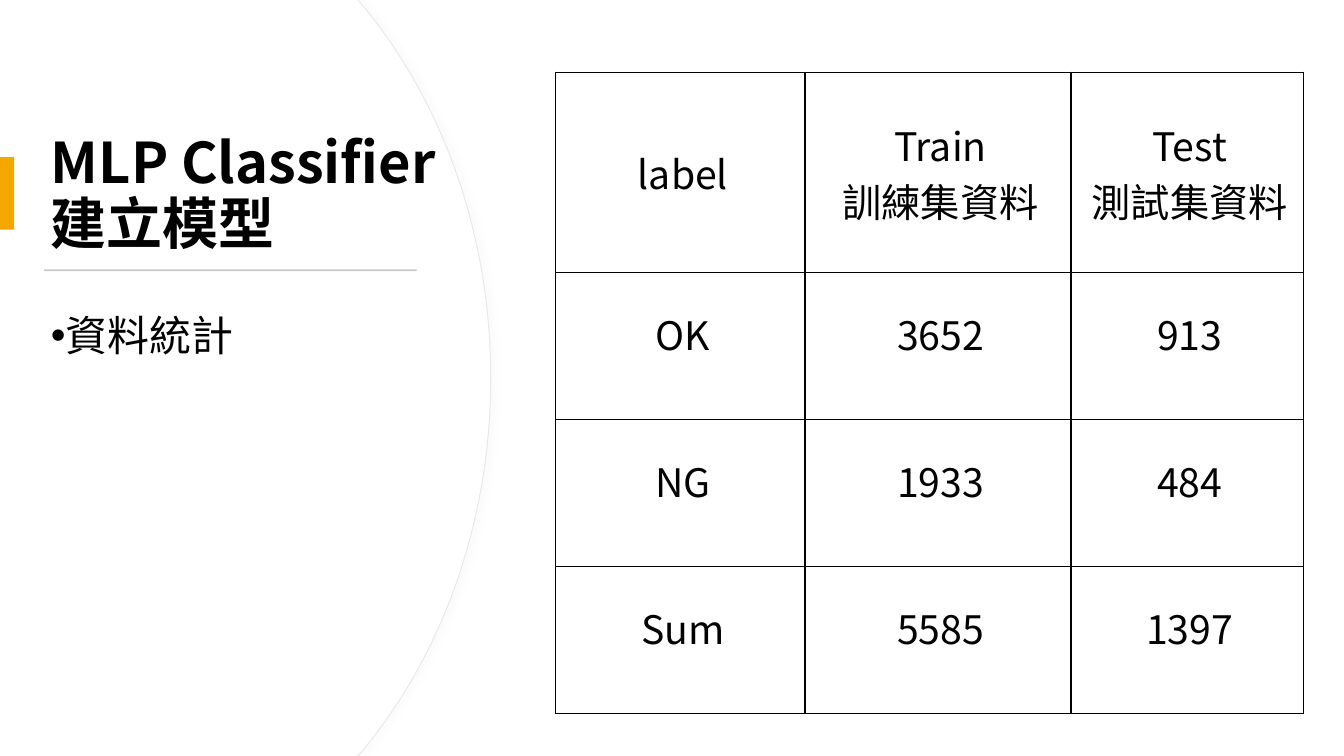
from dataclasses import dataclass

from lxml.etree import SubElement
from pptx import Presentation
from pptx.dml.color import RGBColor
from pptx.enum.shapes import MSO_SHAPE
from pptx.enum.text import MSO_ANCHOR, MSO_AUTO_SIZE, PP_ALIGN
from pptx.oxml import parse_xml
from pptx.oxml.ns import nsdecls, qn
from pptx.util import Pt

FONT = "Noto Sans CJK SC"
COLORS = {
    "text": "000000",
    "paper": "FFFFFF",
    "edge": "E9E9E9",
    "shadow": "D9D9D9",
    "accent": "F5A700",
    "rule": "C9C9C9",
}
PAGE_WIDTH, PAGE_HEIGHT = 960, 540


@dataclass(frozen=True)
class Bar:
    left: float
    top: float
    width: float
    height: float
    color: str


BARS = [
    Bar(0, 112.3, 10.1, 51.8, "accent"),
    Bar(31.3, 192.4, 266.4, 1.4, "rule"),
]
COLUMN_WIDTHS = [178, 190, 165.9]
ROW_HEIGHTS = [143.3, 105, 105, 105]
TABLE_ROWS = [
    ["label", "Train\n訓練集資料", "Test\n測試集資料"],
    ["OK", "3652", "913"],
    ["NG", "1933", "484"],
    ["Sum", "5585", "1397"],
]


def rgb(name: str) -> RGBColor:
    return RGBColor.from_string(COLORS[name])


def add_span(para, text: str, size: float, bold: bool = False) -> None:
    span = para.add_run()
    span.text = text
    span.font.name = FONT
    span.font.size = Pt(size)
    span.font.bold = bold
    span.font.color.rgb = rgb("text")
    SubElement(span.font._element, qn("a:ea")).set("typeface", FONT)


def curve_points(right: float, steps: int = 24) -> list[tuple[float, float]]:
    """Sample the panel's bulging right side from top to bottom."""
    middle = PAGE_HEIGHT / 2
    controls = [(right - 90, 5.8), (right - 34.6, 73.4), (right, 167), (right, middle)]
    upper = []
    for step in range(steps + 1):
        t = step / steps
        weights = [(1 - t) ** 3, 3 * t * (1 - t) ** 2, 3 * t * t * (1 - t), t ** 3]
        upper.append(tuple(sum(w * point[axis] for w, point in zip(weights, controls))
                           for axis in (0, 1)))
    lower = [(x, PAGE_HEIGHT - y) for x, y in reversed(upper[:-1])]
    return upper + lower


def add_panel(page, right: float, edged: bool) -> None:
    corner = right - 95
    outline = [(corner, 0), *curve_points(right), (corner, PAGE_HEIGHT), (0, PAGE_HEIGHT)]
    builder = page.shapes.build_freeform(0, 0, scale=1)
    builder.add_line_segments([(Pt(x), Pt(y)) for x, y in outline], close=True)
    panel = builder.convert_to_shape()
    panel.shadow.inherit = False
    panel.fill.solid()
    panel.fill.fore_color.rgb = rgb("paper")
    if not edged:
        panel.line.fill.background()
        return
    panel.line.color.rgb = rgb("edge")
    panel.line.width = Pt(0.75)
    effects = panel._element.spPr.find(qn("a:effectLst"))
    effects.append(parse_xml(
        f'<a:outerShdw {nsdecls("a")} blurRad="{Pt(4)}" dist="{Pt(3)}" dir="0">'
        f'<a:srgbClr val="{COLORS["shadow"]}"><a:alpha val="10000"/></a:srgbClr>'
        "</a:outerShdw>"))


def add_title(page) -> None:
    title = page.shapes.title
    title._element.getparent().append(title._element)  # bring in front of the panels
    title.left, title.top, title.width, title.height = Pt(29.2), Pt(91.4), Pt(321.8), Pt(97.2)
    frame = title.text_frame
    frame.word_wrap = True
    frame.auto_size = MSO_AUTO_SIZE.NONE
    frame.vertical_anchor = MSO_ANCHOR.MIDDLE
    para = frame.paragraphs[0]
    para.alignment = PP_ALIGN.LEFT
    para.line_spacing = 0.9
    add_span(para, "MLP Classifier", 40, bold=True)
    para.add_line_break()
    add_span(para, "建立模型", 40, bold=True)


def add_bar(page, bar: Bar) -> None:
    shape = page.shapes.add_shape(MSO_SHAPE.RECTANGLE, Pt(bar.left), Pt(bar.top),
                                  Pt(bar.width), Pt(bar.height))
    shape.shadow.inherit = False
    shape.fill.solid()
    shape.fill.fore_color.rgb = rgb(bar.color)
    shape.line.fill.background()


def add_bullet_text(page) -> None:
    box = page.shapes.add_textbox(Pt(29.2), Pt(213.8), Pt(270.7), Pt(252.7))
    box.text_frame.word_wrap = True
    para = box.text_frame.paragraphs[0]
    para.line_spacing = 1.1
    para.space_after = Pt(6)
    properties = para._p.get_or_add_pPr()
    properties.set("marL", "0")
    properties.set("indent", str(-Pt(18)))
    SubElement(properties, qn("a:buFont")).set("typeface", "Arial")
    SubElement(properties, qn("a:buChar")).set("char", "•")
    add_span(para, "資料統計", 30)


def add_borders(cell) -> None:
    properties = cell._tc.get_or_add_tcPr()
    for index, side in enumerate(("lnL", "lnR", "lnT", "lnB")):
        properties.insert(index, parse_xml(
            f'<a:{side} {nsdecls("a")} w="{Pt(1)}"><a:solidFill>'
            f'<a:srgbClr val="{COLORS["text"]}"/></a:solidFill></a:{side}>'))


def fill_cell(cell, text: str, top_margin: float) -> None:
    cell.fill.background()
    cell.vertical_anchor = MSO_ANCHOR.MIDDLE
    cell.margin_left, cell.margin_right = Pt(13.7), Pt(10)
    cell.margin_top, cell.margin_bottom = Pt(top_margin), Pt(20)
    frame = cell.text_frame
    for index, line in enumerate(text.split("\n")):
        para = frame.add_paragraph() if index else frame.paragraphs[0]
        para.alignment = PP_ALIGN.CENTER
        add_span(para, line, 28)
    add_borders(cell)


def add_data_table(page) -> None:
    table = page.shapes.add_table(len(ROW_HEIGHTS), len(COLUMN_WIDTHS), Pt(397), Pt(51.5),
                                  Pt(sum(COLUMN_WIDTHS)), Pt(sum(ROW_HEIGHTS))).table
    table.first_row = table.horz_banding = False
    for column, width in zip(table.columns, COLUMN_WIDTHS):
        column.width = Pt(width)
    for row_index, (row, height) in enumerate(zip(table.rows, ROW_HEIGHTS)):
        row.height = Pt(height)
        for cell, text in zip(row.cells, TABLE_ROWS[row_index]):
            fill_cell(cell, text, top_margin=1.5 if row_index else 20)


def main() -> None:
    deck = Presentation()
    deck.slide_width, deck.slide_height = Pt(PAGE_WIDTH), Pt(PAGE_HEIGHT)
    page = deck.slides.add_slide(deck.slide_layouts.get_by_name("Title Only"))
    add_panel(page, right=350.6, edged=True)
    add_panel(page, right=349.9, edged=False)
    add_title(page)
    for bar in BARS:
        add_bar(page, bar)
    add_bullet_text(page)
    add_data_table(page)
    deck.save("out.pptx")


if __name__ == "__main__":
    main()
